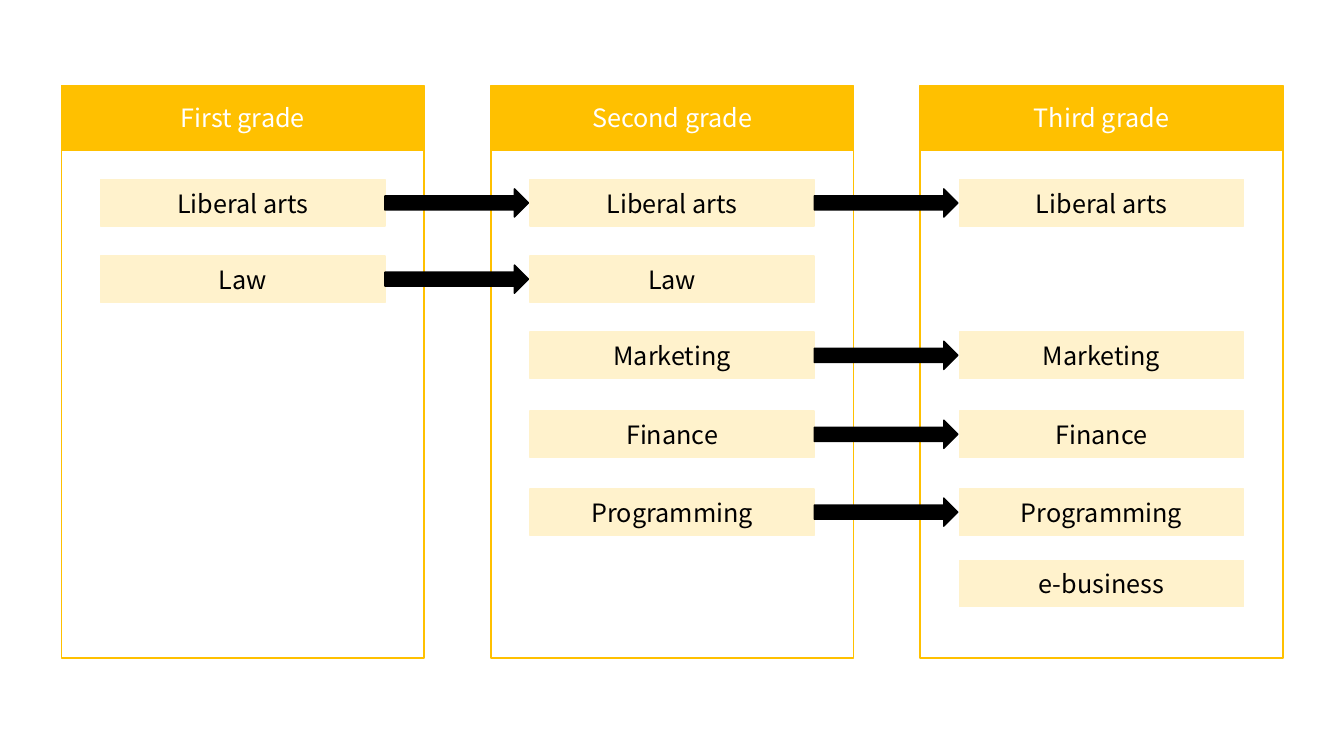
from dataclasses import dataclass
from pptx import Presentation
from pptx.dml.color import RGBColor
from pptx.enum.shapes import MSO_SHAPE
from pptx.enum.text import MSO_ANCHOR, PP_ALIGN
from pptx.util import Cm, Pt


@dataclass(frozen=True)
class Theme:
    accent: str = "FFC000"
    course: str = "FFF2CC"
    dark: str = "000000"
    light: str = "FFFFFF"
    font: str = "Noto Sans CJK JP"
    text_size: int = 18
    line_width: int = 1


class SlideBuilder:
    def __init__(self, slide, theme):
        self.slide = slide
        self.theme = theme

    def draw(self, kind, left, top, width, height, line, fill=None):
        shape = self.slide.shapes.add_shape(kind, Cm(left), Cm(top), Cm(width), Cm(height))
        shape.shadow.inherit = False
        shape.line.color.rgb = RGBColor.from_string(line)
        shape.line.width = Pt(self.theme.line_width)
        if fill:
            shape.fill.solid()
            shape.fill.fore_color.rgb = RGBColor.from_string(fill)
        else:
            shape.fill.background()
        return shape

    def frame(self, left, top, width, height):
        self.draw(MSO_SHAPE.RECTANGLE, left, top, width, height, self.theme.accent)

    def label(self, text, left, top, width, height, fill, color):
        shape = self.draw(MSO_SHAPE.RECTANGLE, left, top, width, height, fill, fill)
        shape.text_frame.word_wrap = True
        shape.text_frame.vertical_anchor = MSO_ANCHOR.MIDDLE
        paragraph = shape.text_frame.paragraphs[0]
        paragraph.text = text
        paragraph.alignment = PP_ALIGN.CENTER
        paragraph.font.name = self.theme.font
        paragraph.font.size = Pt(self.theme.text_size)
        paragraph.font.color.rgb = RGBColor.from_string(color)

    def header(self, text, left, top, width, height):
        self.label(text, left, top, width, height, self.theme.accent, self.theme.light)

    def course(self, text, left, top, width, height):
        self.label(text, left, top, width, height, self.theme.course, self.theme.dark)

    def arrow(self, left, top, width, height):
        self.draw(MSO_SHAPE.RIGHT_ARROW, left, top, width, height, self.theme.dark, self.theme.dark)


GRADES = {
    "First grade": ["Liberal arts", "Law"],
    "Second grade": ["Liberal arts", "Law", "Marketing", "Finance", "Programming"],
    "Third grade": ["Liberal arts", "Marketing", "Finance", "Programming", "e-business"],
}
COURSE_TOPS = {
    "Liberal arts": 4.53,
    "Law": 6.45,
    "Marketing": 8.37,
    "Finance": 10.36,
    "Programming": 12.32,
    "e-business": 14.12,
}
FIRST_LEFT, GRADE_PITCH, GRADE_WIDTH = 1.55, 10.82, 9.14
HEADER_TOP, HEADER_HEIGHT, FRAME_HEIGHT = 2.16, 1.62, 12.8
COURSE_WIDTH, COURSE_HEIGHT = 7.16, 1.17
COURSE_INDENT = (GRADE_WIDTH - COURSE_WIDTH) / 2
ARROW_WIDTH, ARROW_HEIGHT = GRADE_PITCH - COURSE_WIDTH - 0.04, 0.71

presentation = Presentation()
presentation.slide_width = Cm(33.87)
presentation.slide_height = Cm(19.05)
slide = presentation.slides.add_slide(presentation.slide_layouts[6])
builder = SlideBuilder(slide, Theme())

grade_lefts = [FIRST_LEFT + index * GRADE_PITCH for index in range(len(GRADES))]
for left, grade in zip(grade_lefts, GRADES):
    builder.frame(left, HEADER_TOP + HEADER_HEIGHT, GRADE_WIDTH, FRAME_HEIGHT)
    builder.header(grade, left, HEADER_TOP, GRADE_WIDTH, HEADER_HEIGHT)

course_lists = list(GRADES.values())
for left, courses, next_courses in zip(grade_lefts, course_lists, course_lists[1:] + [[]]):
    course_left = left + COURSE_INDENT
    for course in courses:
        top = COURSE_TOPS[course]
        builder.course(course, course_left, top, COURSE_WIDTH, COURSE_HEIGHT)
        if course in next_courses:
            arrow_top = top + (COURSE_HEIGHT - ARROW_HEIGHT) / 2
            builder.arrow(course_left + COURSE_WIDTH, arrow_top, ARROW_WIDTH, ARROW_HEIGHT)

presentation.save("out.pptx")
